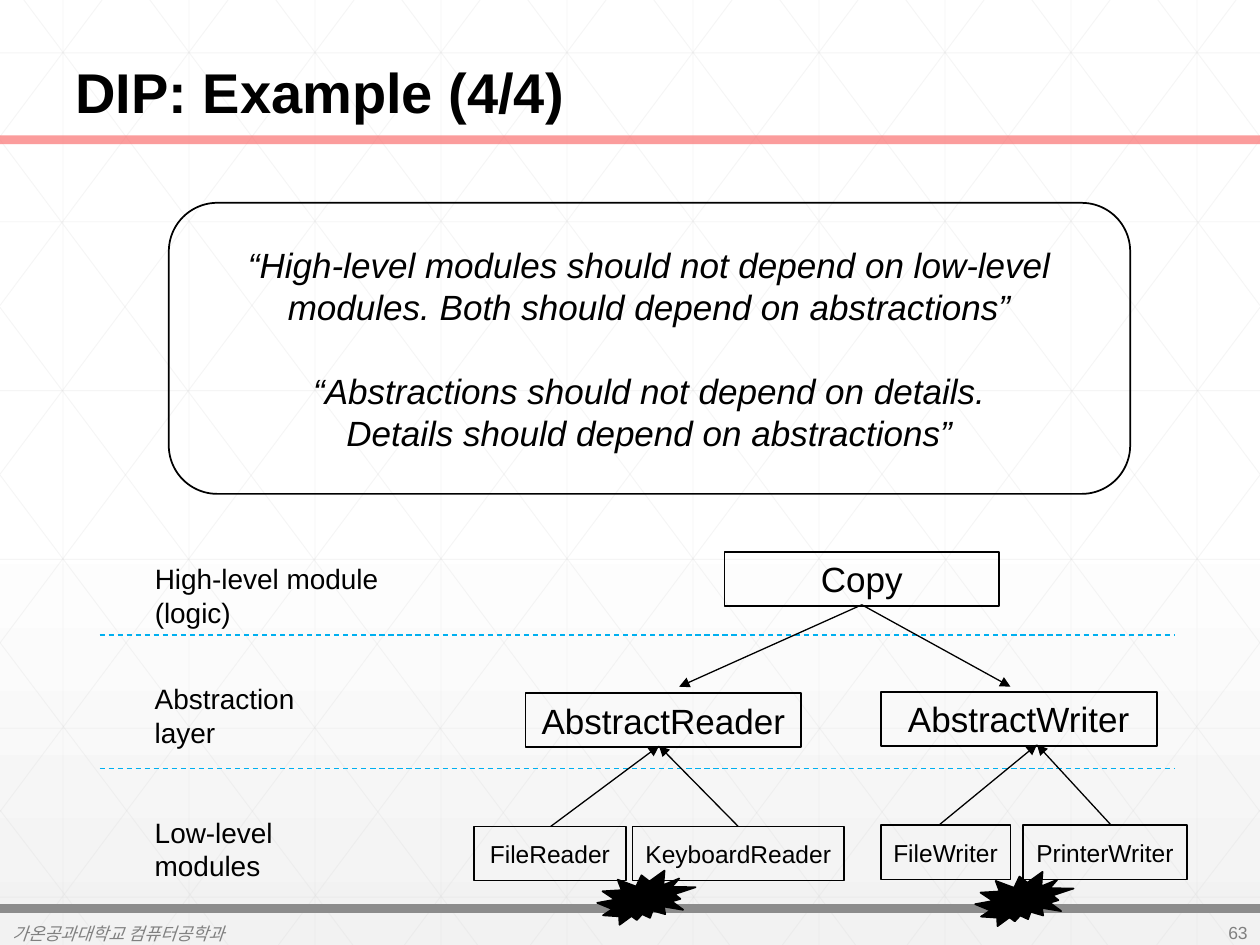
from lxml.etree import SubElement
from pptx import Presentation
from pptx.dml.color import RGBColor
from pptx.enum.dml import MSO_LINE
from pptx.enum.shapes import MSO_CONNECTOR, MSO_SHAPE
from pptx.enum.text import MSO_ANCHOR, PP_ALIGN
from pptx.oxml.ns import qn
from pptx.util import Inches, Pt


def rgb(value):
    return RGBColor.from_string(value)


class SlideBuilder:
    font = "Arial"
    ink = "000000"
    muted = "808080"
    grid = "D9D9D9"

    def __init__(self, slide):
        self.slide = slide

    def background(self):
        fill = self.slide.background.fill
        fill.gradient()
        fill.gradient_angle = 270
        stops = zip(fill.gradient_stops, (0.53, 1), ("FFFFFF", "F2F2F2"))
        for stop, position, color in stops:
            stop.position = position
            stop.color.rgb = rgb(color)

    def fill_text(self, sp, paragraphs, size, color=None, bold=False, italic=False,
                  align=PP_ALIGN.LEFT, anchor=MSO_ANCHOR.MIDDLE, wrap=True, gap=0):
        tf = sp.text_frame
        tf.word_wrap = wrap
        tf.vertical_anchor = anchor
        for i, text in enumerate(paragraphs):
            p = tf.add_paragraph() if i else tf.paragraphs[0]
            p.text = text
            p.alignment = align
            if i:
                p.space_before = Pt(gap)
            for r in p.runs:
                r.font.name = self.font
                r.font.size = Pt(size)
                r.font.bold = bold
                r.font.italic = italic
                r.font.color.rgb = rgb(color or self.ink)
        return tf

    def text(self, box, text, size, **style):
        sp = self.slide.shapes.add_textbox(*map(Inches, box))
        return self.fill_text(sp, [text], size, **style)

    def shape(self, kind, box, fill=None):
        sp = self.slide.shapes.add_shape(kind, *map(Inches, box))
        sp.shadow.inherit = False
        if fill:
            sp.fill.solid()
            sp.fill.fore_color.rgb = rgb(fill)
        else:
            sp.fill.background()
        sp.line.color.rgb = rgb(self.ink)
        sp.line.width = Pt(1)
        return sp

    def node(self, text, left, top, width, size):
        sp = self.shape(MSO_SHAPE.RECTANGLE, (left, top, width, 0.43))
        self.fill_text(sp, [text], size, align=PP_ALIGN.CENTER, wrap=False)

    def line(self, start, end, color=None, width=0.75, dash=None, alpha=None, arrow=False):
        points = map(Inches, (*start, *end))
        c = self.slide.shapes.add_connector(MSO_CONNECTOR.STRAIGHT, *points)
        c.line.color.rgb = rgb(color or self.ink)
        c.line.width = Pt(width)
        if dash:
            c.line.dash_style = dash
        ln = c._element.spPr.find(qn("a:ln"))
        if alpha:
            SubElement(next(ln.iter(qn("a:srgbClr"))), qn("a:alpha"), val=str(alpha * 1000))
        if arrow:
            SubElement(ln, qn("a:tailEnd"), type="triangle")
        SubElement(c._element.spPr, qn("a:effectLst"))

    def grid_line(self, start, end):
        self.line(start, end, self.grid, 0.5, alpha=25)

    def mirrored_grid_line(self, start, end):
        self.grid_line(start, end)
        self.grid_line((10 - start[0], start[1]), (10 - end[0], end[1]))

    def backdrop(self):
        for i in range(10):
            self.grid_line((0.5 + i, 0), (0.5 + i, 7.5))
        for i in range(6):
            y = 0.42 + 1.34 * i
            self.grid_line((0, y), (10, y))
        for i in range(10):
            x = 0.19 + i
            run = min(5.6, 10 - x)
            self.mirrored_grid_line((x, 0), (x + run, run * 7.5 / 5.6))
        for i in range(5):
            self.mirrored_grid_line((4.78 - 0.99 * i, 7.5), (0, 1.11 + 1.33 * i))


def main():
    prs = Presentation()
    prs.slide_width, prs.slide_height = Inches(10), Inches(7.5)
    s = SlideBuilder(prs.slides.add_slide(prs.slide_layouts[6]))
    s.background()
    s.backdrop()
    s.line((0, 1.11), (10, 1.11), "FA6E6E", 5, alpha=68)
    s.line((0, 7.21), (10, 7.21), "8C8C8C", 5)

    tf = s.text((0.5, 0, 9, 1.05), "DIP: Example (4/4)", 32, bold=True, anchor=MSO_ANCHOR.BOTTOM)
    tf.paragraphs[0].line_spacing = 0.9
    s.text((0, 7.29, 5.03, 0.24), "가온공과대학교 컴퓨터공학과", 10, color=s.muted, italic=True)
    s.text((9.25, 7.28, 0.75, 0.24), "63", 10, color=s.muted, align=PP_ALIGN.RIGHT)

    quote = s.shape(MSO_SHAPE.ROUNDED_RECTANGLE, (1.34, 1.61, 7.63, 2.31))
    s.fill_text(quote, [
        "“High-level modules should not depend on low-level modules. "
        "Both should depend on abstractions”",
        "“Abstractions should not depend on details.\nDetails should depend on abstractions”",
    ], 20, italic=True, align=PP_ALIGN.CENTER, gap=24)

    layers = [
        ("High-level module (logic)", 4.41, 2.55),
        ("Abstraction layer", 5.36, 1.76),
        ("Low-level modules", 6.42, 1.94),
    ]
    for text, top, width in layers:
        tf = s.text((1.13, top, width, 0.37), text, 16, anchor=MSO_ANCHOR.TOP)
        tf.margin_right = Inches(0.45)
    for y in (5.04, 6.1):
        s.line((0.79, y), (9.32, y), "00B0F0", dash=MSO_LINE.DASH)

    nodes = [
        ("Copy", 5.75, 4.38, 2.18, 20),
        ("AbstractReader", 4.17, 5.5, 2.19, 20),
        ("AbstractWriter", 6.99, 5.49, 2.19, 20),
        ("FileReader", 3.76, 6.56, 1.21, 14),
        ("KeyboardReader", 5.02, 6.56, 1.68, 14),
        ("FileWriter", 6.99, 6.55, 1.03, 14),
        ("PrinterWriter", 8.12, 6.55, 1.3, 14),
    ]
    for node in nodes:
        s.node(*node)

    copy, reader, writer = (6.84, 4.8), (5.23, 5.92), (8.23, 5.91)
    arrows = [
        (copy, (5.39, 5.45)),
        (copy, (8.02, 5.45)),
        ((4.37, 6.56), reader),
        ((5.86, 6.56), reader),
        ((7.45, 6.55), writer),
        ((8.82, 6.55), writer),
    ]
    for start, end in arrows:
        s.line(start, end, arrow=True)

    for left, top in ((4.74, 6.91), (7.74, 6.92)):
        s.shape(MSO_SHAPE.EXPLOSION2, (left, top, 0.78, 0.43), fill=s.ink)
    prs.save("out.pptx")


if __name__ == "__main__":
    main()
